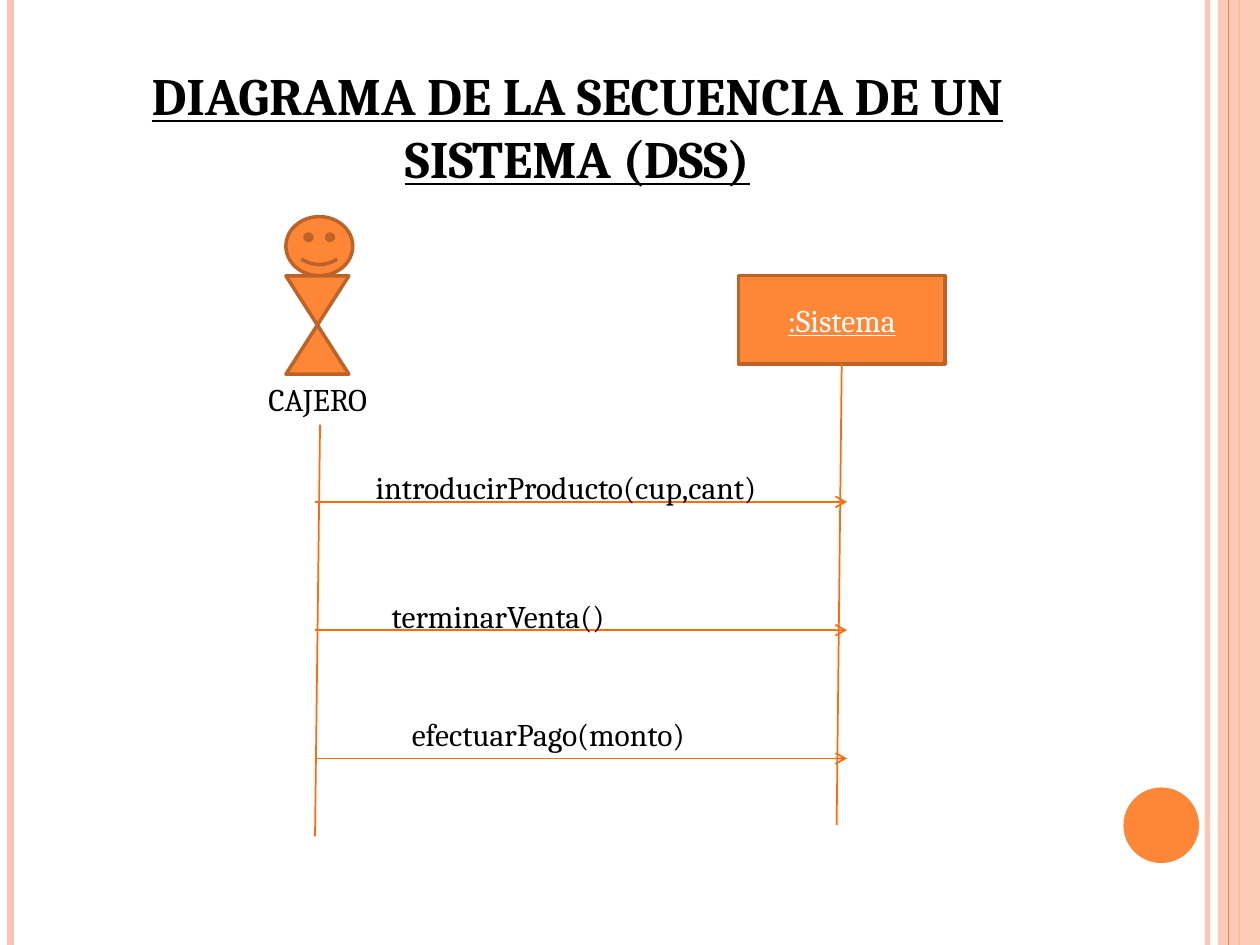
from lxml.etree import SubElement
from pptx import Presentation
from pptx.dml.color import RGBColor
from pptx.enum.shapes import MSO_CONNECTOR, MSO_SHAPE
from pptx.enum.text import MSO_ANCHOR, PP_ALIGN
from pptx.oxml.ns import qn
from pptx.util import Pt

FONT = "Cambria"
ORANGE, EDGE, PEACH, FLOW = "FE8637", "BC6329", "FEC3AE", "FF6B0A"
BLACK, WHITE = "000000", "FFFFFF"
BOTTOM = 2  # connection site


def color(hex_code):
    return RGBColor.from_string(hex_code)


def set_opacity(format_element, percent):
    rgb = next(format_element.iter(qn("a:srgbClr")))
    SubElement(rgb, qn("a:alpha"), val=str(percent * 1000))


def write(shape, words, size=18, ink=BLACK, align=PP_ALIGN.LEFT,
          anchor=MSO_ANCHOR.TOP, bold=False, underline=False):
    frame = shape.text_frame
    frame.word_wrap = True
    frame.vertical_anchor = anchor
    frame.text = words
    paragraph = frame.paragraphs[0]
    paragraph.alignment = align
    font = paragraph.runs[0].font
    font.name, font.size = FONT, Pt(size)
    font.bold, font.underline = bold, underline
    font.color.rgb = color(ink)


def add_label(slide, left, top, width, height, words, indent=0, **style):
    label = slide.shapes.add_textbox(Pt(left), Pt(top), Pt(width), Pt(height))
    write(label, words, **style)
    label.text_frame.margin_left = Pt(7.2 + indent)
    return label


def add_figure(slide, kind, left, top, width, height, fill=ORANGE, edge=None):
    figure = slide.shapes.add_shape(kind, Pt(left), Pt(top), Pt(width), Pt(height))
    figure.shadow.inherit = False
    figure.fill.solid()
    figure.fill.fore_color.rgb = color(fill)
    if edge:
        figure.line.color.rgb = color(edge)
        figure.line.width = Pt(2)
    else:
        figure.line.fill.background()
    return figure


def add_line(slide, x1, y1, x2, y2, ink=FLOW, width=1, arrow=False):
    line = slide.shapes.add_connector(
        MSO_CONNECTOR.STRAIGHT, Pt(x1), Pt(y1), Pt(x2), Pt(y2))
    line.line.color.rgb = color(ink)
    line.line.width = Pt(width)
    if arrow:
        SubElement(line.line._get_or_add_ln(), qn("a:tailEnd"), type="arrow")
    SubElement(line._element.spPr, qn("a:effectLst"))
    return line


def add_frame(slide, width, height):
    """Vertical stripes along both edges and the disc at the lower right."""
    def stripe(x, ink, weight):
        return add_line(slide, x, 0, x, height, ink, weight)

    set_opacity(stripe(width - 30, PEACH, 3)._element, 93)
    stripe(6, PEACH, 4.5)
    stripe(width - 12, ORANGE, 1.5)
    band = add_figure(slide, MSO_SHAPE.RECTANGLE, width - 24, 0, 24, height, PEACH)
    set_opacity(band._element.spPr, 87)
    stripe(width - 18, ORANGE, 0.75)
    add_figure(slide, MSO_SHAPE.OVAL, width - 78, height - 90, 43.2, 43.2)


def add_actor(slide, left, top, life_end):
    """Stick figure, its name and its lifeline."""
    add_figure(slide, MSO_SHAPE.SMILEY_FACE, left, top, 38.2, 33.8, edge=EDGE)
    add_figure(slide, MSO_SHAPE.FLOWCHART_COLLATE, left, top + 33.8, 36, 56.2, edge=EDGE)
    name = add_label(slide, left - 17.2, top + 90, 73.4, 28.8, "CAJERO")
    lifeline = add_line(slide, left + 19.5, top + 118.8, left + 16.6, life_end)
    lifeline.begin_connect(name, BOTTOM)


def add_system(slide, left, top, width, height, life_end):
    """System box and its lifeline."""
    system = add_figure(slide, MSO_SHAPE.RECTANGLE, left, top, width, height, edge=EDGE)
    write(system, ":Sistema", ink=WHITE, align=PP_ALIGN.CENTER,
          anchor=MSO_ANCHOR.MIDDLE, underline=True)
    middle = left + width / 2
    lifeline = add_line(slide, middle, top + height, middle - 2.9, life_end)
    lifeline.begin_connect(system, BOTTOM)


def add_messages(slide, left, top, width, gap):
    """Arrows from actor to system, evenly spaced, each with its call."""
    # call, label offset, label rise, label width, indent
    messages = [
        ("introducirProducto(cup,cant)", 11.5, 22.6, 281.5, 16),
        ("terminarVenta()", 16.6, 22.6, 281.5, 20),
        ("efectuarPago(monto)", 28.1, 28.3, 253.4, 20),
    ]
    for row, (call, offset, rise, label_width, indent) in enumerate(messages):
        y = top + row * gap
        add_line(slide, left, y, left + width, y, arrow=True)
        add_label(slide, left + offset, y - rise, label_width, 28.8, call, indent)


def main():
    deck = Presentation()
    deck.slide_width, deck.slide_height = Pt(720), Pt(540)
    slide = deck.slides.add_slide(deck.slide_layouts[6])

    add_frame(slide, 720, 540)
    add_label(slide, 36, 21.6, 588, 90,
              "DIAGRAMA DE LA SECUENCIA DE UN SISTEMA (DSS)", size=30,
              align=PP_ALIGN.CENTER, anchor=MSO_ANCHOR.BOTTOM,
              bold=True, underline=True)
    add_system(slide, 422, 157.5, 118, 50.5, life_end=471.5)
    add_actor(slide, 163.4, 123.8, life_end=478)
    add_messages(slide, 180, 286.8, 304, gap=73.3)

    deck.save("out.pptx")


if __name__ == "__main__":
    main()
